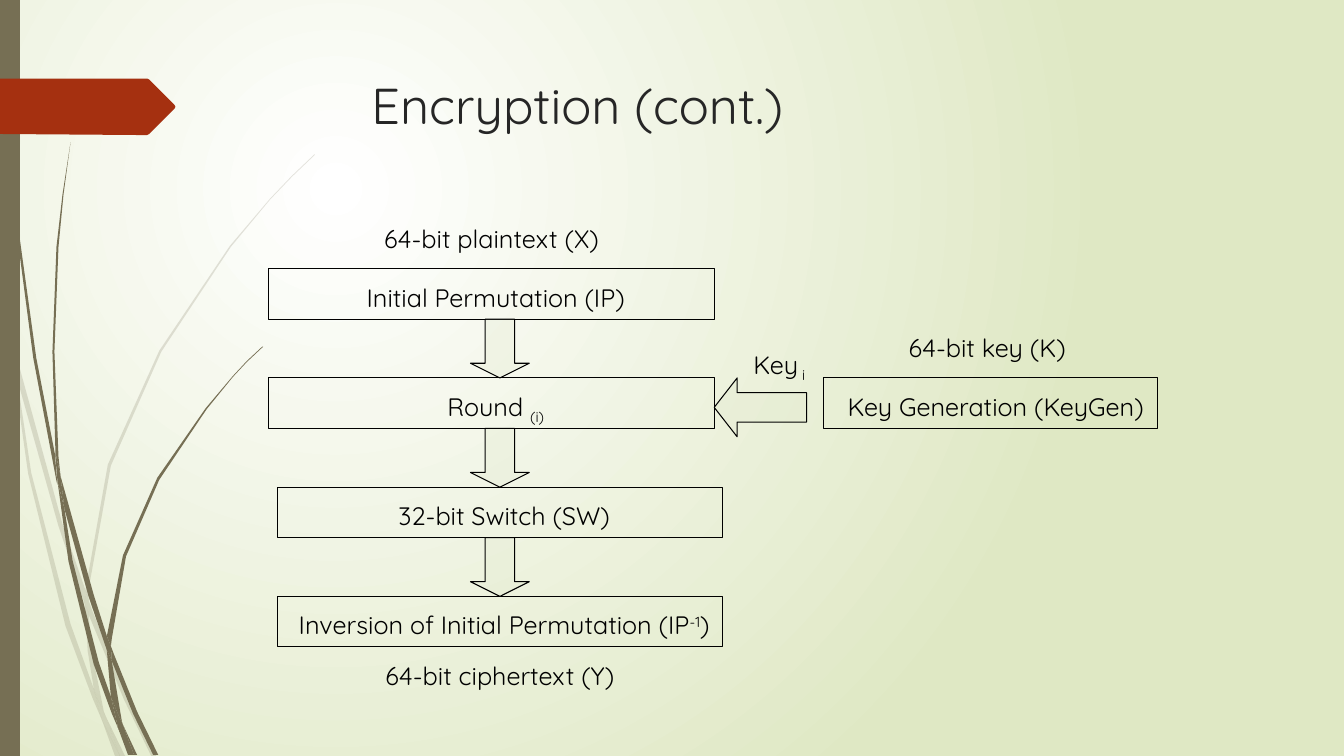
from dataclasses import dataclass

from lxml import etree
from pptx import Presentation
from pptx.dml.color import RGBColor
from pptx.enum.shapes import MSO_SHAPE
from pptx.enum.text import MSO_ANCHOR, PP_ALIGN
from pptx.oxml.ns import qn
from pptx.util import Inches, Pt

RECTANGLE = MSO_SHAPE.RECTANGLE
DOWN_ARROW = MSO_SHAPE.DOWN_ARROW
TOP = MSO_ANCHOR.TOP
CENTER = PP_ALIGN.CENTER
LEFT = PP_ALIGN.LEFT


@dataclass(frozen=True)
class Theme:
    font: str = "Quicksand"
    title_size: int = 36
    label_size: int = 18
    outline_width: float = 0.75
    title: str = "262626"
    ink: str = "000000"
    grass: str = "766F54"
    tag: str = "A53010"
    arrow: str = "E3EACF"
    glow: str = "FFFFFF"
    backdrop: str = "DFE8C4"


theme = Theme()
prs = Presentation()
prs.slide_width, prs.slide_height = Inches(13.33), Inches(7.5)
CELL = Inches(7.5) / 90


def grid(*cells):
    return [round(cell * CELL) for cell in cells]


def write(frame, runs, size, color, align):
    frame.word_wrap = True
    frame.vertical_anchor = TOP
    paragraph = frame.paragraphs[0]
    paragraph.alignment = align
    for words, baseline in runs:
        run = paragraph.add_run()
        run.text = words
        run.font.name = theme.font
        run.font.size = Pt(size)
        run.font.color.rgb = RGBColor.from_string(color)
        if baseline:
            run._r.get_or_add_rPr().set("baseline", str(baseline * 1000))


slide = prs.slides.add_slide(prs.slide_layouts[5])
shapes = slide.shapes

backdrop = slide.background.fill
backdrop.gradient()
for stop, color, position in zip(backdrop.gradient_stops, (theme.glow, theme.backdrop), (0, 1)):
    stop.color.rgb = RGBColor.from_string(color)
    stop.position = position
gradient = slide.element.find(".//" + qn("a:gradFill"))
gradient.remove(gradient.find(qn("a:lin")))
radial = etree.SubElement(gradient, qn("a:path"), path="circle")
etree.SubElement(radial, qn("a:fillToRect"), l="50000", t="50000", r="100000", b="100000")

pale_grass = [
    [(0.11, 3.5), (0.09, 3.22), (0, 2.82), (0, 2.99), (0.1, 3.44)],
    [(0.58, 5.22), (0.84, 5.99), (0.85, 5.86), (0.62, 5.2), (0.14, 3.45), (0.17, 3.76)],
    [(0.92, 6.07), (0.88, 5.96), (0.88, 6.1), (1.23, 6.94), (1.5, 7.5), (1.55, 7.5),
     (1.27, 6.92)],
    [(1.19, 7.5), (1.24, 7.5), (1.05, 7.11)],
    [(0.93, 6.83), (0.7, 6.19), (0.31, 4.69), (0.17, 3.76), (0.11, 3.5), (0.28, 4.7),
     (0.65, 6.21), (0.92, 6.93), (1.01, 7.14), (0.99, 7.07)],
    [(0.84, 5.99), (0.87, 6.46), (0.93, 6.83), (0.96, 6.92), (1.05, 7.11), (1.03, 7.06),
     (0.91, 6.46), (0.88, 6.1), (0.88, 6.08)],
    [(0.88, 5.84), (1.1, 4.62), (1.6, 3.49), (2.29, 2.45), (2.68, 1.98), (2.9, 1.75),
     (3.12, 1.54), (3.12, 1.53), (2.89, 1.75), (2.68, 1.97), (2.28, 2.44), (1.58, 3.48),
     (1.07, 4.61), (0.85, 5.84), (0.85, 5.86), (0.88, 5.96)],
    [(1.01, 7.14), (1.14, 7.5), (1.19, 7.5)],
    [(0.88, 6.08), (0.88, 6.1), (0.88, 5.96), (0.85, 5.86), (0.84, 5.99)],
    [(0.96, 6.92), (0.93, 6.83), (0.99, 7.07), (1.01, 7.14), (1.19, 7.5), (1.05, 7.11)],
]
dark_grass = [
    [(0.07, 1.1), (0.17, 2.33), (0.33, 3.55), (0.56, 4.77), (0.57, 4.81), (0.55, 4.57),
     (0.55, 4.53), (0.36, 3.55), (0.19, 2.32), (0.08, 1.09), (0.05, 0.48), (0.04, 0),
     (0.03, 0), (0.04, 0.48)],
    [(0.88, 5.92), (1.06, 6.45), (1.06, 6.33), (1.06, 6.31), (0.93, 5.9), (0.6, 4.72),
     (0.64, 5.05)],
    [(1.13, 6.49), (1.1, 6.41), (1.11, 6.56), (1.32, 7.08), (1.52, 7.49), (1.57, 7.49),
     (1.36, 7.06)],
    [(1.1, 6.91), (0.98, 6.57), (0.72, 5.56), (0.64, 5.05), (0.57, 4.77), (0.68, 5.57),
     (0.93, 6.59), (1.11, 7.08), (1.17, 7.22), (1.16, 7.17)],
    [(0.6, 4.72), (0.58, 4.53), (0.54, 3.49), (0.58, 2.45), (0.63, 1.93), (0.7, 1.41),
     (0.62, 1.93), (0.56, 2.45), (0.52, 3.49), (0.55, 4.49)],
    [(1.33, 7.49), (1.36, 7.49), (1.22, 7.19)],
    [(0.57, 4.77), (0.64, 5.05), (0.6, 4.72), (0.55, 4.49), (0.55, 4.53)],
    [(1.11, 6.33), (1.25, 5.52), (1.58, 4.76), (2.05, 4.06), (2.31, 3.74), (2.45, 3.59),
     (2.61, 3.44), (2.6, 3.44), (2.45, 3.58), (2.31, 3.73), (2.04, 4.05), (1.56, 4.74),
     (1.22, 5.51), (1.06, 6.31), (1.1, 6.41)],
    [(1.17, 7.22), (1.27, 7.49), (1.31, 7.49)],
    [(1.06, 6.45), (1.1, 6.91), (1.16, 7.06), (1.22, 7.19), (1.21, 7.16), (1.11, 6.56),
     (1.09, 6.51)],
    [(1.06, 6.45), (1.09, 6.51), (1.11, 6.56), (1.1, 6.41), (1.06, 6.31), (1.06, 6.33)],
    [(1.16, 7.06), (1.1, 6.91), (1.16, 7.17), (1.17, 7.22), (1.3, 7.49), (1.33, 7.49),
     (1.22, 7.19)],
]
spine = [[(0, 0), (0.2, 0), (0.2, 7.5), (0, 7.5)]]
tag = [[(1.73, 1.08), (1.48, 1.33), (1.46, 1.34), (1.36, 1.34), (0, 1.33), (0, 0.78),
        (1.36, 0.78), (1.46, 0.78), (1.48, 0.79), (1.73, 1.04), (1.74, 1.06)]]

painted = []
for outlines, color, opacity in (
    (pale_grass, theme.grass, 20),
    (dark_grass, theme.grass, 100),
    (spine, theme.grass, 100),
    (tag, theme.tag, 100),
):
    for points in outlines:
        corners = [(Inches(x), Inches(y)) for x, y in points]
        outline = shapes.build_freeform(*corners[0])
        outline.add_line_segments(corners[1:], close=True)
        painted.append((outline.convert_to_shape(), color, opacity, False))

heading = shapes.title
heading.left, heading.top, heading.width, heading.height = grid(43, 8.25, 117, 16.8)
write(heading.text_frame, [("Encryption (cont.)", 0)], theme.title_size, theme.title, LEFT)

FIRST_ROW, PITCH, BOX_WIDTH, BOX_HEIGHT, ARROW = 32, 13, 53, 6, 7
stages = [
    (32, [("Initial Permutation (IP)", 0)]),
    (32, [("Round ", 0), ("(i)", -25)]),
    (33, [("32-bit Switch (SW)", 0)]),
    (33, [("Inversion of Initial Permutation (IP", 0), ("-1", 30), (")", 0)]),
]
boxes = [(column, FIRST_ROW + PITCH * level, BOX_WIDTH, BOX_WIDTH - 1, runs)
         for level, (column, runs) in enumerate(stages)]
boxes.append((98, FIRST_ROW + PITCH, 39.75, 39, [("Key Generation (KeyGen)", 0)]))
captions = [
    (42, 26, 33, [("64-bit plaintext (X)", 0)]),
    (43, 78, 33, [("64-bit ciphertext (Y)", 0)]),
    (101, 39, 33, [("64-bit key (K)", 0)]),
    (87, 41, 12, [("Key", 0), (" i ", -25)]),
]
for column, row, width, label_width, runs in boxes:
    box = shapes.add_shape(RECTANGLE, *grid(column, row, width, BOX_HEIGHT))
    painted.append((box, None, 100, True))
    captions.append((column + 1, row + 1, label_width, runs))

arrows = [(56, FIRST_ROW + BOX_HEIGHT + PITCH * level, ARROW, 0, 0.25) for level in range(3)]
arrows.append((87, 43, 11, 90, 0.39))
for column, row, length, turn, head in arrows:
    arrow = shapes.add_shape(DOWN_ARROW, *grid(column, row, ARROW, length))
    arrow.rotation = turn
    arrow.adjustments[0], arrow.adjustments[1] = 0.5, head
    painted.append((arrow, theme.arrow, 30, True))

for column, row, width, runs in captions:
    caption = shapes.add_textbox(*grid(column, row, width, 4.8))
    write(caption.text_frame, runs, theme.label_size, theme.ink, CENTER)

for part, color, opacity, outlined in painted:
    part.shadow.inherit = False
    if color:
        part.fill.solid()
        part.fill.fore_color.rgb = RGBColor.from_string(color)
    else:
        part.fill.background()
    if opacity < 100:
        tint = part.element.spPr.find(qn("a:solidFill")).find(qn("a:srgbClr"))
        etree.SubElement(tint, qn("a:alpha"), val=str(opacity * 1000))
    if outlined:
        part.line.color.rgb = RGBColor.from_string(theme.ink)
        part.line.width = Pt(theme.outline_width)
    else:
        part.line.fill.background()

prs.save("out.pptx")
